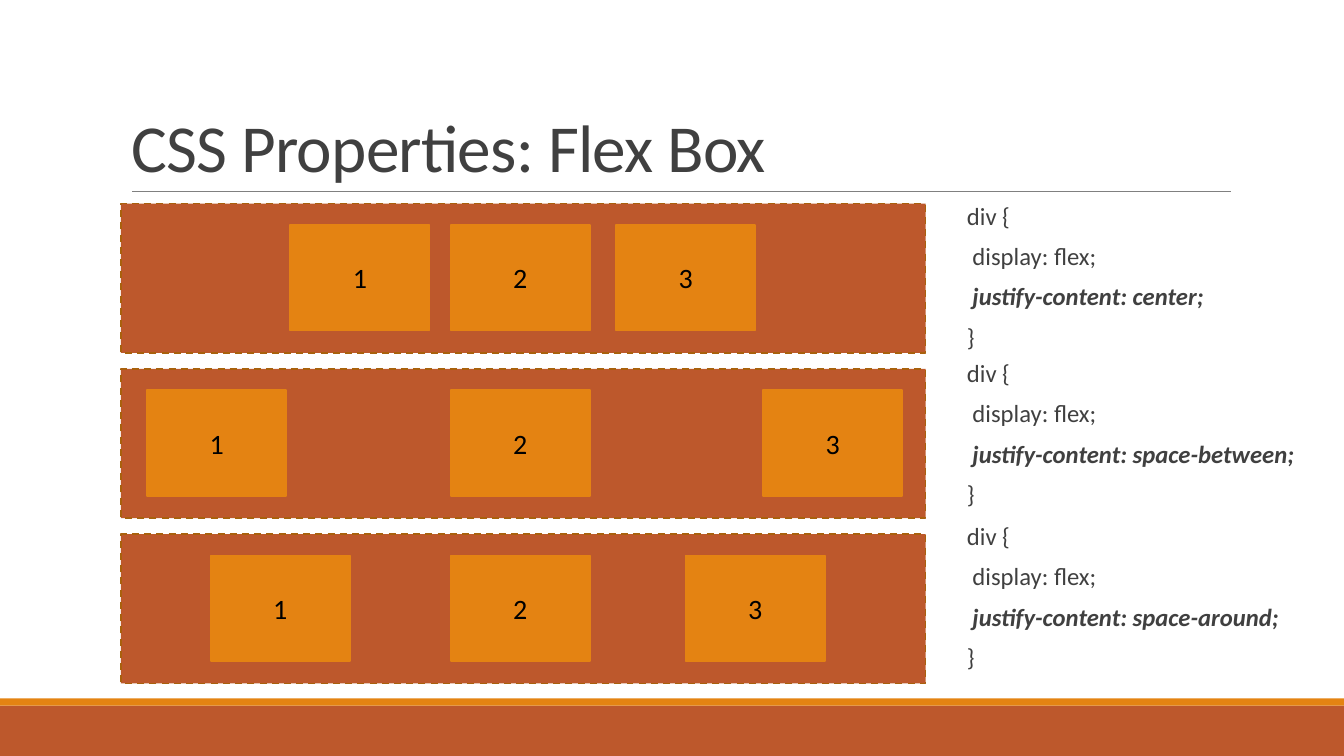
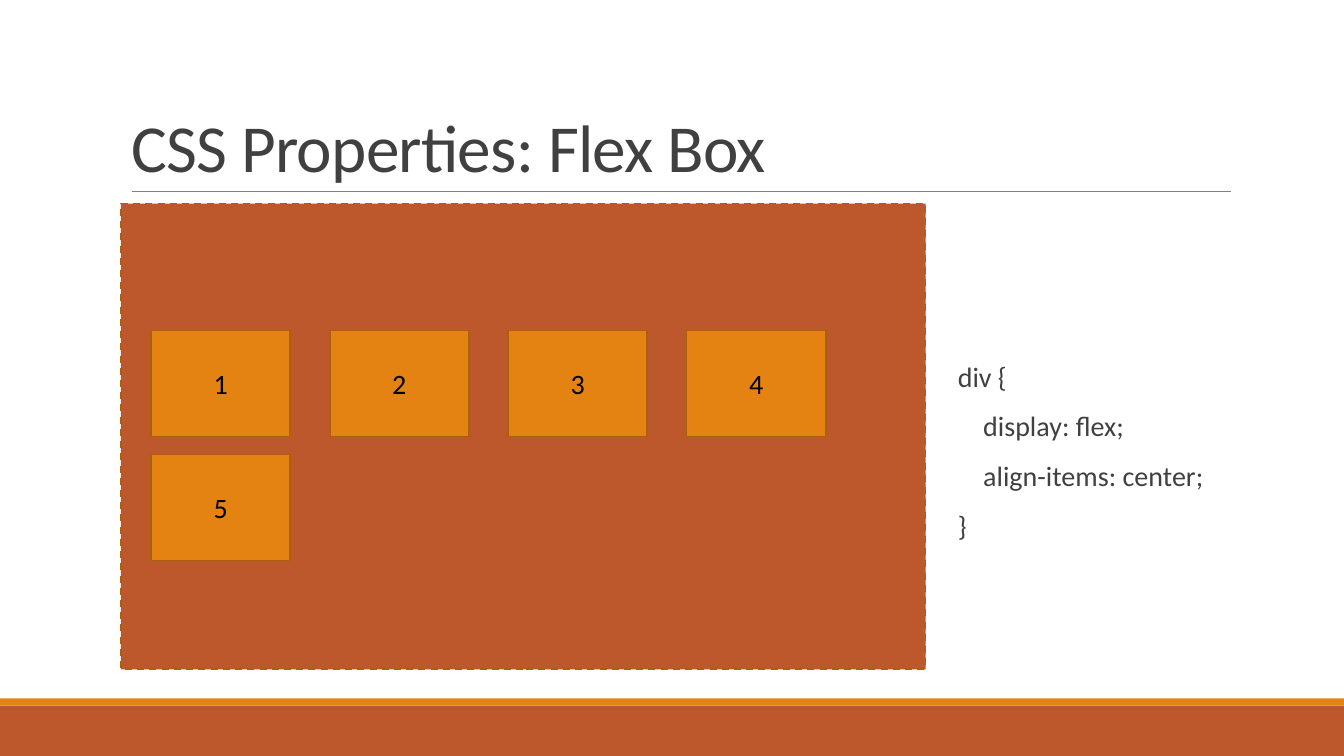
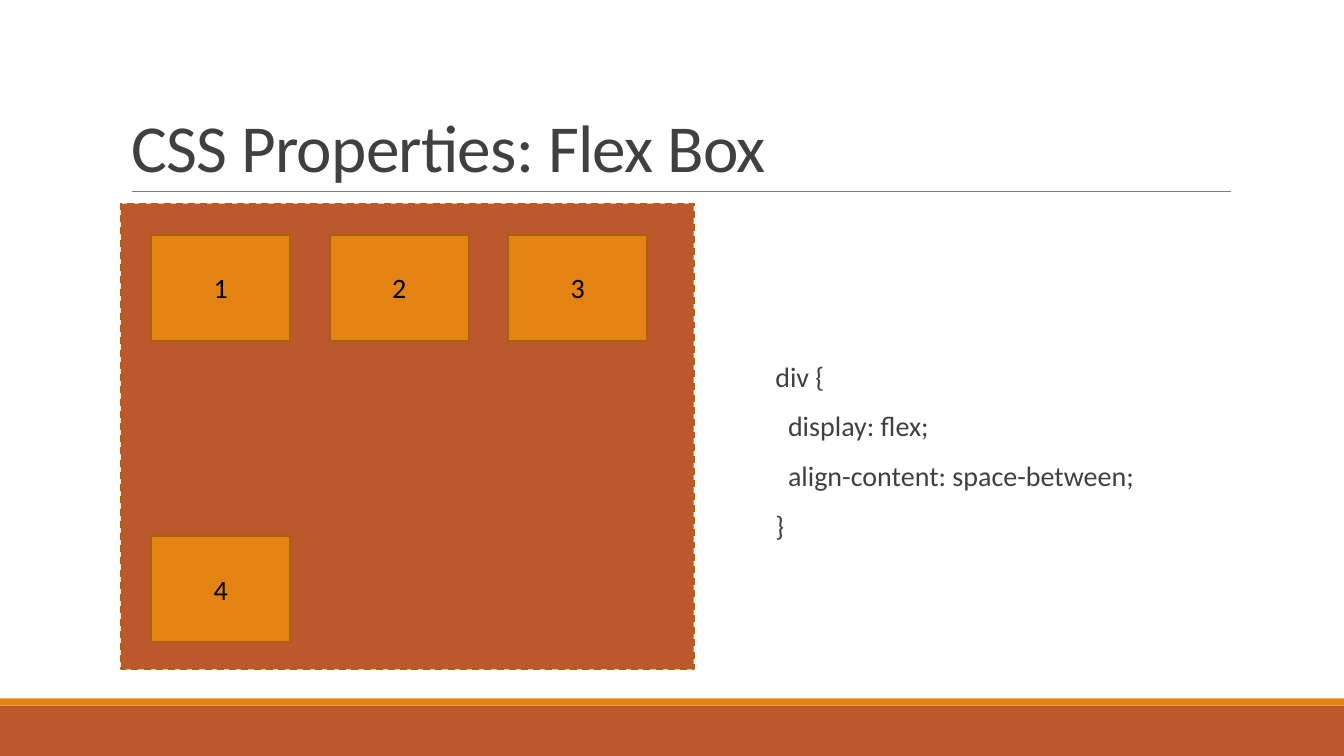
from lxml import etree
from pptx import Presentation
from pptx.dml.color import RGBColor
from pptx.enum.dml import MSO_LINE
from pptx.enum.shapes import MSO_CONNECTOR, MSO_SHAPE
from pptx.enum.text import MSO_ANCHOR, MSO_AUTO_SIZE, PP_ALIGN
from pptx.oxml.ns import qn
from pptx.util import Inches, Pt

RECTANGLE = MSO_SHAPE.RECTANGLE
STRAIGHT = MSO_CONNECTOR.STRAIGHT
DASH = MSO_LINE.DASH
LEFT = PP_ALIGN.LEFT
BOTTOM, TOP = MSO_ANCHOR.BOTTOM, MSO_ANCHOR.TOP
NO_AUTOFIT = MSO_AUTO_SIZE.NONE

FONT = "Calibri"
RUST, ORANGE, BROWN = "BD582C", "E48312", "A9610D"
INK, GREY, BLACK = "404040", "808080", "000000"

TITLE = "CSS Properties: Flex Box"
CONTAINER_LEFT, CONTAINER_TOP = 1.2, 2.02
TILE_WIDTH, TILE_HEIGHT = 1.38, 1.05

# Slide 1: one row per value of justify-content
ROW_HEIGHT, ROW_PITCH, ROW_WIDTH = 1.48, 1.64, 7.98
TILE_INSET = 0.21
JUSTIFY_ROWS = [
    # value, tile lefts, code top, code width
    ("center", (2.88, 4.47, 6.11), 2.02, 3.06),
    ("space-between", (1.46, 4.47, 7.57), 3.58, 3.59),
    ("space-around", (2.09, 4.47, 6.8), 5.2, 3.69),
]

# Slides 2 and 3: one wrapped container each
GRID_LEFT, GRID_PITCH, GRID_HEIGHT = 1.5, 1.77, 4.62
WRAPPED = [
    {"width": 7.98, "rows": [(3.28, 4), (4.51, 1)],  # top, number of tiles
     "code": (9.4, 3.55, 3.06, 2.3), "property": "align-items: center;", "indent": 4},
    {"width": 5.68, "rows": [(2.33, 3), (5.32, 1)],
     "code": (7.59, 3.55, 4.88, 2.3), "property": "align-content: space-between;", "indent": 2},
]


def color(value):
    return RGBColor.from_string(value)


def place(shape, left, top, width, height):
    shape.left, shape.top = Inches(left), Inches(top)
    shape.width, shape.height = Inches(width), Inches(height)


def set_font(font, size, ink):
    font.name, font.size = FONT, Pt(size)
    font.color.rgb = color(ink)


def add_rectangle(slide, left, top, width, height, fill, line=None):
    box = slide.shapes.add_shape(
        RECTANGLE, Inches(left), Inches(top), Inches(width), Inches(height))
    box.shadow.inherit = False
    box.fill.solid()
    box.fill.fore_color.rgb = color(fill)
    if line:
        box.line.color.rgb = color(line)
        box.line.width = Pt(1.25)
    else:
        box.line.fill.background()
    return box


def add_container(slide, top, width, height):
    container = add_rectangle(slide, CONTAINER_LEFT, top, width, height, RUST, BROWN)
    container.line.dash_style = DASH


def add_tile(slide, left, top, number, line):
    tile = add_rectangle(slide, left, top, TILE_WIDTH, TILE_HEIGHT, ORANGE, line)
    para = tile.text_frame.paragraphs[0]
    para.text = str(number)
    set_font(para.font, 20, BLACK)


def fill_code(box, declaration, indent, size, spacing, emphasis=False):
    """Write a div rule with the given declaration into a box."""
    frame = box.text_frame
    frame.word_wrap = True
    frame.auto_size = NO_AUTOFIT
    frame.vertical_anchor = TOP
    frame.margin_left = frame.margin_right = 0
    frame.margin_top = frame.margin_bottom = Inches(0.05)
    pad = " " * indent
    lines = ["div {", pad + "display: flex;", pad + declaration, "}"]
    for index, line in enumerate(lines):
        para = frame.paragraphs[0] if index == 0 else frame.add_paragraph()
        para.text = line
        properties = para._p.get_or_add_pPr()
        properties.set("marL", str(Inches(0.1)))
        properties.set("indent", "0")
        etree.SubElement(properties, qn("a:buNone"))
        para.line_spacing = spacing
        para.space_before = Pt(12 if index else 0)
        para.space_after = Pt(2)
        set_font(para.font, size, INK)
        if emphasis and index == 2:
            para.font.bold = para.font.italic = True


def add_titled_slide(deck, layout):
    slide = deck.slides.add_slide(layout)
    title = slide.shapes.title
    place(title, 1.2, 0.31, 11, 1.59)
    title.text_frame.vertical_anchor = BOTTOM
    title.text_frame.auto_size = NO_AUTOFIT
    para = title.text_frame.paragraphs[0]
    para.text = TITLE
    para.alignment = LEFT
    para.line_spacing = 0.85
    set_font(para.font, 48, INK)
    para._p.pPr.find(qn("a:defRPr")).set("spc", "-50")
    return slide


def move_theme_to_layout(slide, layout):
    """Draw the bands and the title rule, and hand them to the layout."""
    rule = slide.shapes.add_connector(
        STRAIGHT, Inches(1.31), Inches(1.9), Inches(12.21), Inches(1.9))
    rule.line.color.rgb = color(GREY)
    rule.line.width = Pt(0.5)
    etree.SubElement(rule.element.spPr, qn("a:effectLst"))
    bands = [add_rectangle(slide, 0, 7, 13.33, 0.5, RUST),
             add_rectangle(slide, 0, 6.93, 13.33, 0.07, ORANGE)]
    for shape in bands + [rule]:
        layout.shapes.element.append(shape.element)


def build_justify_slide(slide):
    for index, (value, lefts, code_top, code_width) in enumerate(JUSTIFY_ROWS):
        top = CONTAINER_TOP + index * ROW_PITCH
        add_container(slide, top, ROW_WIDTH, ROW_HEIGHT)
        for number, left in enumerate(lefts, 1):
            add_tile(slide, left, top + TILE_INSET, number, ORANGE)
        code = slide.placeholders[1] if index == 0 else slide.shapes.add_textbox(0, 0, 0, 0)
        place(code, 9.49, code_top, code_width, 1.65)
        fill_code(code, f"justify-content: {value};", 1, 17.6, 0.7, emphasis=True)


def build_wrapped_slide(slide, example):
    add_container(slide, CONTAINER_TOP, example["width"], GRID_HEIGHT)
    number = 0
    for top, count in example["rows"]:
        for column in range(count):
            number += 1
            add_tile(slide, GRID_LEFT + column * GRID_PITCH, top, number, BROWN)
    code = slide.placeholders[1]
    place(code, *example["code"])
    fill_code(code, example["property"], example["indent"], 20, 0.9)


def main():
    deck = Presentation()
    deck.slide_width, deck.slide_height = Inches(13.33), Inches(7.5)
    layout = deck.slide_layouts.get_by_name("Title and Content")
    first = add_titled_slide(deck, layout)
    move_theme_to_layout(first, layout)
    build_justify_slide(first)
    for example in WRAPPED:
        build_wrapped_slide(add_titled_slide(deck, layout), example)
    deck.save("out.pptx")


if __name__ == "__main__":
    main()
